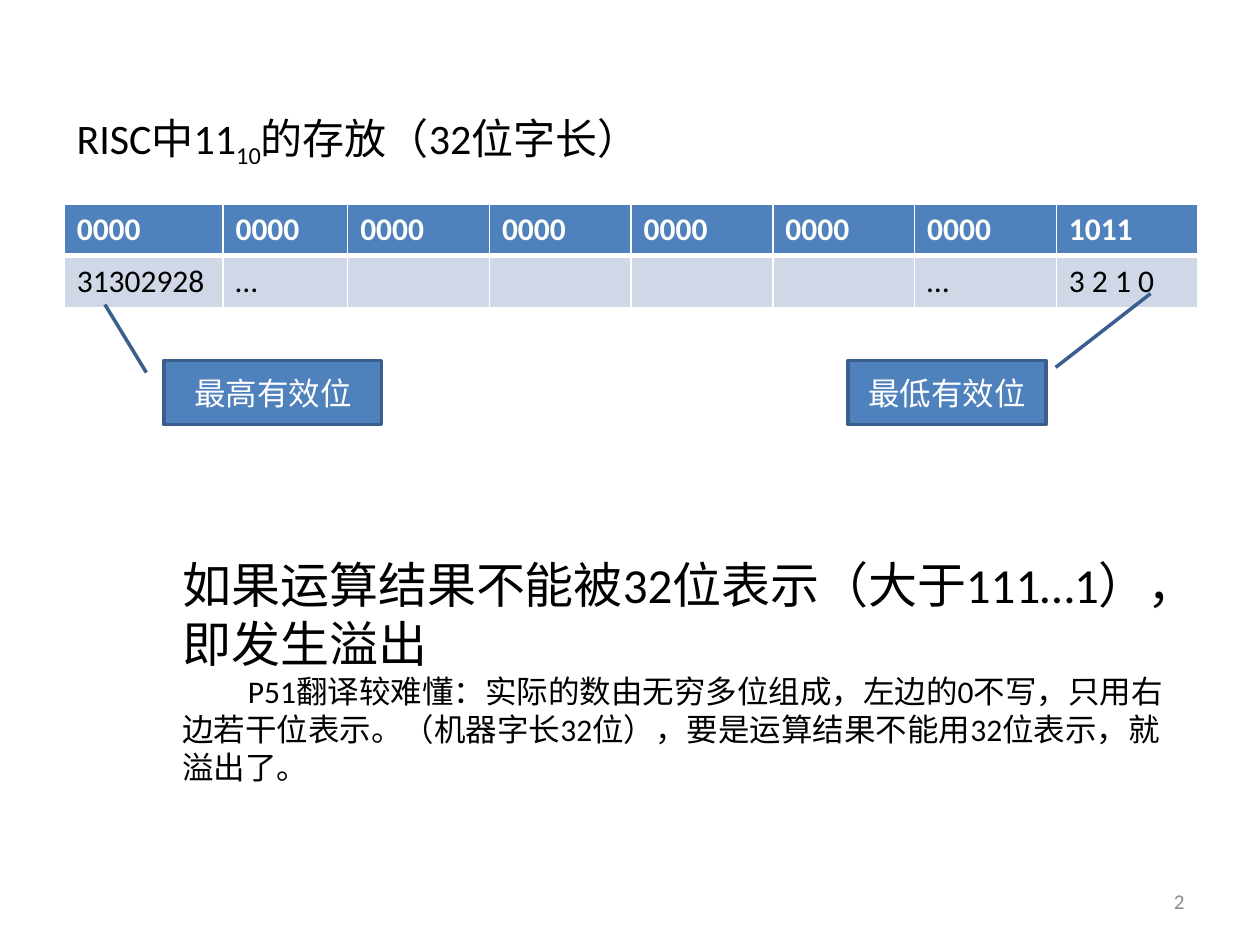
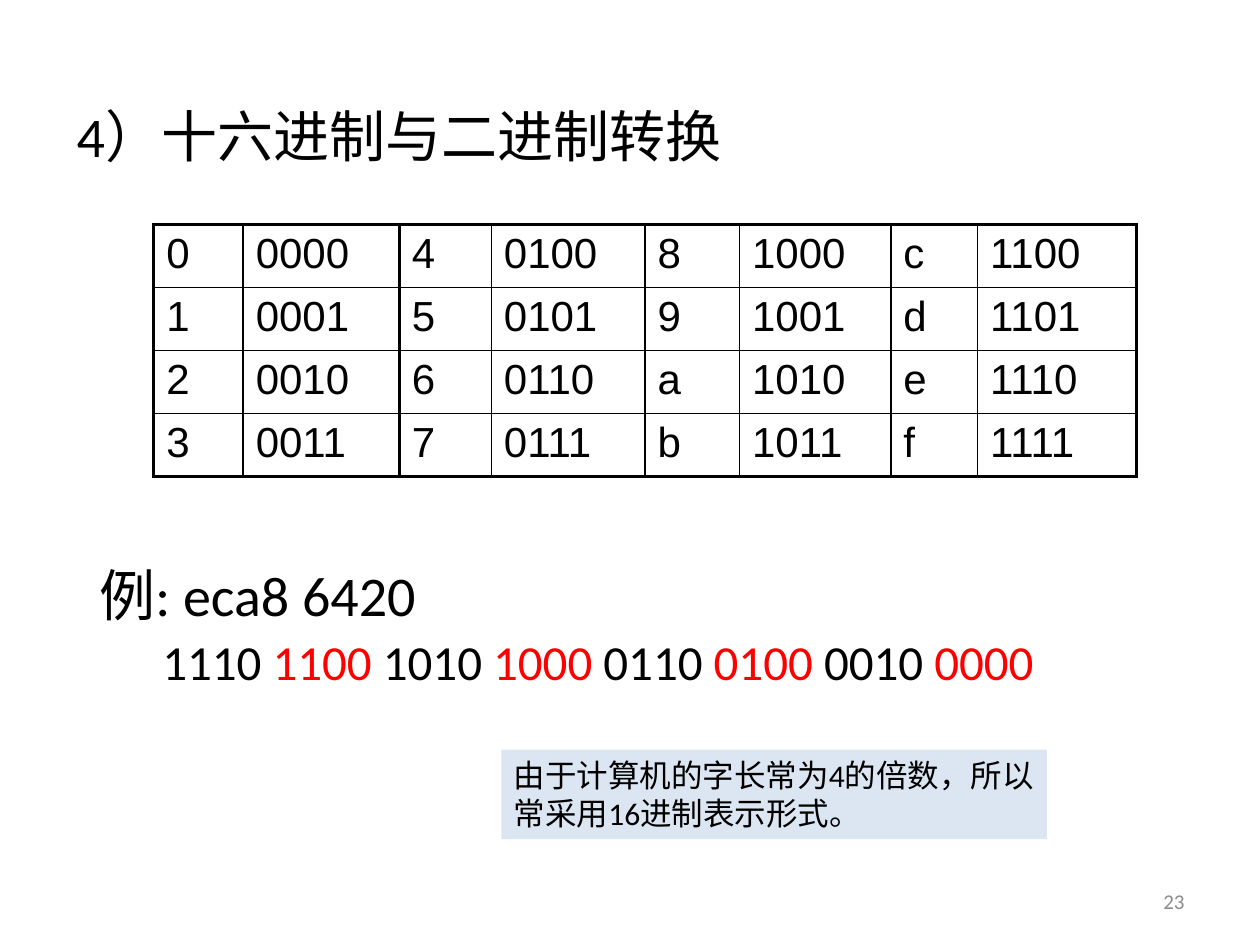
from lxml.etree import SubElement
from pptx import Presentation
from pptx.dml.color import RGBColor
from pptx.enum.shapes import MSO_SHAPE as Shape
from pptx.enum.text import MSO_ANCHOR as Anchor, PP_ALIGN as Align
from pptx.oxml.ns import qn
from pptx.util import Inches, Pt

BLACK, WHITE, RED, GREY = "000000", "FFFFFF", "FF0000", "8C8C8C"
BLUE, DARK_BLUE, PALE_BLUE, NOTE_BLUE = "4F81BD", "3A5F8C", "D0D8E8", "DCE6F2"
LEFT = 0.51

# Slide 1: how a number is stored in a word
STORAGE_TITLE = [("RISC中11", False), ("10", True), ("的存放（32位字长）", False)]
WORD_ROWS = [
    ["0000"] * 7 + ["1011"],
    ["31302928", "…", "", "", "", "", "…", "3 2 1 0"],
]
WORD_COLUMNS = [1.26, 0.99] + [1.125] * 6
CALLOUTS = [  # text, left, width, pointer as shares of the box (y, x, y, x)
    ("最低有效位", 6.73, 1.57, (0.11, 1.05, -1.04, 1.53)),
    ("最高有效位", 1.3, 1.73, (0.19, -0.08, -0.87, -0.27)),
]
OVERFLOW_RULE = "如果运算结果不能被32位表示（大于111…1），即发生溢出"
OVERFLOW_NOTE = (
    "P51翻译较难懂：实际的数由无穷多位组成，左边的0不写，只用右边若干位表示。"
    "（机器字长32位），要是运算结果不能用32位表示，就溢出了。"
)

# Slide 2: hexadecimal and binary
HEX_TITLE = "4）十六进制与二进制转换"
HEX_DIGITS = "0123456789abcdef"
HEX_ROWS = 4
HEX_COLUMNS = [0.71, 1.24, 0.73, 1.22, 0.75, 1.2, 0.69, 1.26]
EXAMPLE_LABEL, EXAMPLE = "例: ", "eca8 6420"
HEX_NOTE = "由于计算机的字长常为4的倍数，所以常采用16进制表示形式。"


def color(value):
    return RGBColor.from_string(value)


def binary(digit):
    return f"{int(digit, 16):04b}"


def style(font, size, shade=BLACK, name="Calibri", bold=False):
    font.size, font.name, font.bold = Pt(size), name, bold
    font.color.rgb = color(shade)


def add_box(page, left, top, width, height):
    box = page.shapes.add_textbox(*map(Inches, (left, top, width, height)))
    box.text_frame.word_wrap = True
    return box


def write(para, text, size, shade=BLACK, align=Align.LEFT):
    para.text, para.alignment = text, align
    style(para.font, size, shade)


def add_shape(page, kind, at, fill, line=None):
    shape = page.shapes.add_shape(kind, *map(Inches, at))
    shape.shadow.inherit = False
    shape.fill.solid()
    shape.fill.fore_color.rgb = color(fill)
    if line:
        shape.line.color.rgb, shape.line.width = color(line), Pt(2)
    else:
        shape.line.fill.background()
    shape.text_frame.word_wrap = True
    return shape


def add_number(page, number):
    box = add_box(page, 7.17, 6.95, 2.33, 0.4)
    box.text_frame.vertical_anchor = Anchor.MIDDLE
    write(box.text_frame.paragraphs[0], str(number), 12, GREY, Align.RIGHT)


def add_grid(page, left, top, columns, row_height, rows):
    """Add an unbanded table and yield each cell with its row and column."""
    frame = page.shapes.add_table(
        len(rows), len(columns), Inches(left), Inches(top),
        Inches(sum(columns)), Inches(row_height * len(rows)))
    table = frame.table
    table.first_row = table.horz_banding = False
    for column, width in zip(table.columns, columns):
        column.width = Inches(width)
    for r, texts in enumerate(rows):
        for c, text in enumerate(texts):
            cell = table.cell(r, c)
            cell.text = text
            yield cell, r, c


def set_borders(cell, shade, left, right, top, bottom):
    properties = cell._tc.get_or_add_tcPr()
    for side, width in zip("LRTB", (left, right, top, bottom)):
        line = SubElement(properties, qn(f"a:ln{side}"), w=str(Pt(width)))
        fill = SubElement(line, qn("a:solidFill"))
        SubElement(fill, qn("a:srgbClr"), val=shade)


def build_storage(page):
    para = add_box(page, LEFT, 0.84, 7.8, 0.51).text_frame.paragraphs[0]
    for text, is_subscript in STORAGE_TITLE:
        span = para.add_run()
        span.text = text
        if is_subscript:
            span._r.get_or_add_rPr().set("baseline", "-25000")
    style(para.font, 24)

    for cell, r, c in add_grid(page, LEFT, 1.62, WORD_COLUMNS, 0.41, WORD_ROWS):
        is_header = r == 0
        set_borders(cell, WHITE, 1, 1, 1 if is_header else 3, 3 if is_header else 1)
        cell.fill.solid()
        cell.fill.fore_color.rgb = color(BLUE if is_header else PALE_BLUE)
        style(cell.text_frame.paragraphs[0].font, 18,
              WHITE if is_header else BLACK, bold=is_header)

    for text, left, width, pointer in CALLOUTS:
        callout = add_shape(page, Shape.LINE_CALLOUT_1, (left, 2.86, width, 0.51),
                            BLUE, DARK_BLUE)
        for i, share in enumerate(pointer):
            callout.adjustments[i] = share
        callout.text_frame.vertical_anchor = Anchor.MIDDLE
        write(callout.text_frame.paragraphs[0], text, 18, WHITE, Align.CENTER)

    frame = add_box(page, 1.35, 4.35, 8.14, 2.12).text_frame
    write(frame.paragraphs[0], OVERFLOW_RULE, 28)
    note = frame.add_paragraph()
    write(note, OVERFLOW_NOTE, 18)
    note._p.get_or_add_pPr().set("indent", str(Inches(0.52)))
    add_number(page, 2)


def build_hex(page):
    title = add_box(page, LEFT, 0.76, 9, 0.87)
    write(title.text_frame.paragraphs[0], HEX_TITLE, 32)

    rows = [[text for digit in HEX_DIGITS[r::HEX_ROWS] for text in (digit, binary(digit))]
            for r in range(HEX_ROWS)]
    thin, medium, thick = 1, 1.5, 2.25
    last_row, last_column = HEX_ROWS - 1, len(HEX_COLUMNS) - 1
    for cell, r, c in add_grid(page, 1.22, 1.78, HEX_COLUMNS, 0.47, rows):
        is_digit = c % 2 == 0
        set_borders(
            cell, BLACK,
            left=thick if c == 0 else medium if is_digit else thin,
            right=thick if c == last_column else thin if is_digit else medium,
            top=thick if r == 0 else thin,
            bottom=thick if r == last_row else thin)
        cell.fill.background()
        style(cell.text_frame.paragraphs[0].font, 24, name="Arial")

    frame = add_box(page, 0.69, 4.46, 9.05, 1.26).text_frame
    write(frame.paragraphs[0], EXAMPLE_LABEL + EXAMPLE, 32)
    bits = frame.add_paragraph()
    bits._p.get_or_add_pPr().set("marL", str(Inches(0.5)))
    bits.space_before = Pt(5.6)
    digits = EXAMPLE.replace(" ", "")
    for i, digit in enumerate(digits):
        span = bits.add_run()
        span.text = binary(digit) + (" " if i < len(digits) - 1 else "")
        if i % 2:
            span.font.color.rgb = color(RED)
    style(bits.font, 28)
    for para in frame.paragraphs:
        para.line_spacing = 0.9

    note = add_shape(page, Shape.RECTANGLE, (3.98, 5.95, 4.33, 0.71), NOTE_BLUE)
    note.text_frame.vertical_anchor = Anchor.TOP
    write(note.text_frame.paragraphs[0], HEX_NOTE, 18)
    add_number(page, 23)


def main():
    deck = Presentation()
    deck.slide_width, deck.slide_height = Inches(10), Inches(7.5)
    for build in (build_storage, build_hex):
        build(deck.slides.add_slide(deck.slide_layouts[6]))
    deck.save("out.pptx")


if __name__ == "__main__":
    main()
